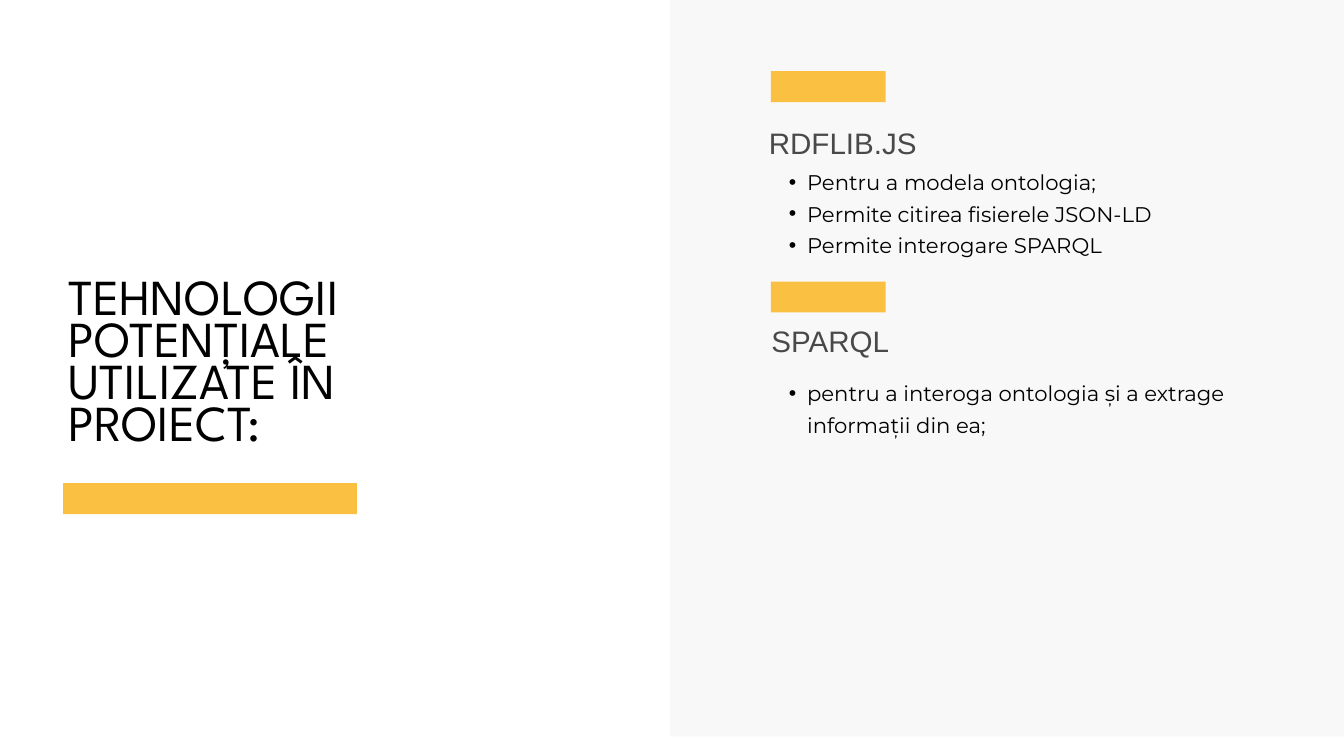
"""Build the slide on technologies that the project may use."""
from lxml import etree
from pptx import Presentation
from pptx.dml.color import RGBColor
from pptx.enum.shapes import MSO_SHAPE
from pptx.oxml.ns import qn
from pptx.util import Inches, Pt

RECT = MSO_SHAPE.RECTANGLE
GOLD, GRAY, BLACK = "F9C041", "494949", "000000"


def paint(fill, color):
    fill.solid()
    fill.fore_color.rgb = RGBColor.from_string(color)


def write(box, lines, font, size, color, pitch, bullet=False):
    left, top, width, height = map(Inches, box)
    frame = slide.shapes.add_textbox(left, top, width, height).text_frame
    frame.word_wrap = True
    frame.margin_left = frame.margin_right = 0
    frame.margin_top = frame.margin_bottom = 0
    for i, line in enumerate(lines):
        para = frame.add_paragraph() if i else frame.paragraphs[0]
        para.line_spacing = Pt(pitch)
        run = para.add_run()
        run.text = line
        run.font.name = font
        run.font.size = Pt(size)
        paint(run.font.fill, color)
        if bullet:
            props = para._p.get_or_add_pPr()
            props.set("marL", str(Inches(0.54)))
            props.set("indent", str(Inches(-0.27)))
            etree.SubElement(props, qn("a:buFont"), typeface="Arial")
            etree.SubElement(props, qn("a:buChar"), char="•")


deck = Presentation()
deck.slide_width, deck.slide_height = Inches(20), Inches(11.25)
slide = deck.slides.add_slide(deck.slide_layouts[6])
paint(slide.background.fill, "FFFFFF")

bars = [
    (9.97, -0.29, 10.25, 11.25, "DDDDDD", 18),
    (0.94, 7.19, 4.37, 0.46, GOLD, 100),
    (11.47, 1.06, 1.71, 0.46, GOLD, 100),
    (11.47, 4.19, 1.71, 0.46, GOLD, 100),
]
for *box, color, alpha in bars:
    bar = slide.shapes.add_shape(RECT, *map(Inches, box))
    bar.shadow.inherit = False
    bar.line.fill.background()
    paint(bar.fill, color)
    if alpha < 100:
        tone = bar._element.spPr.find(qn("a:solidFill"))[0]
        etree.SubElement(tone, qn("a:alpha"), val=str(alpha * 1000))

title = "TEHNOLOGII POTENȚIALE UTILIZATE ÎN PROIECT:"
write((1.02, 4.22, 6.07, 2.63), [title], "League Spartan", 54, BLACK, 45.1)

heads = [
    ((11.44, 1.73, 4.21, 1.31), "RDFLIB.JS"),
    ((11.48, 4.68, 4.21, 0.62), "SPARQL"),
]
for box, head in heads:
    write(box, [head], "Arial", 31.7, GRAY, 47.6)

lists = [
    ((11.47, 2.42, 6.76, 1.39), [
        "Pentru a modela ontologia;",
        "Permite citirea fisierele JSON-LD",
        "Permite interogare SPARQL",
    ]),
    ((11.47, 5.57, 7.09, 1.39), [
        "pentru a interoga ontologia și a extrage informații din ea;",
    ]),
]
for box, lines in lists:
    write(box, lines, "Montserrat", 22.7, BLACK, 34.1, bullet=True)

deck.save("out.pptx")
